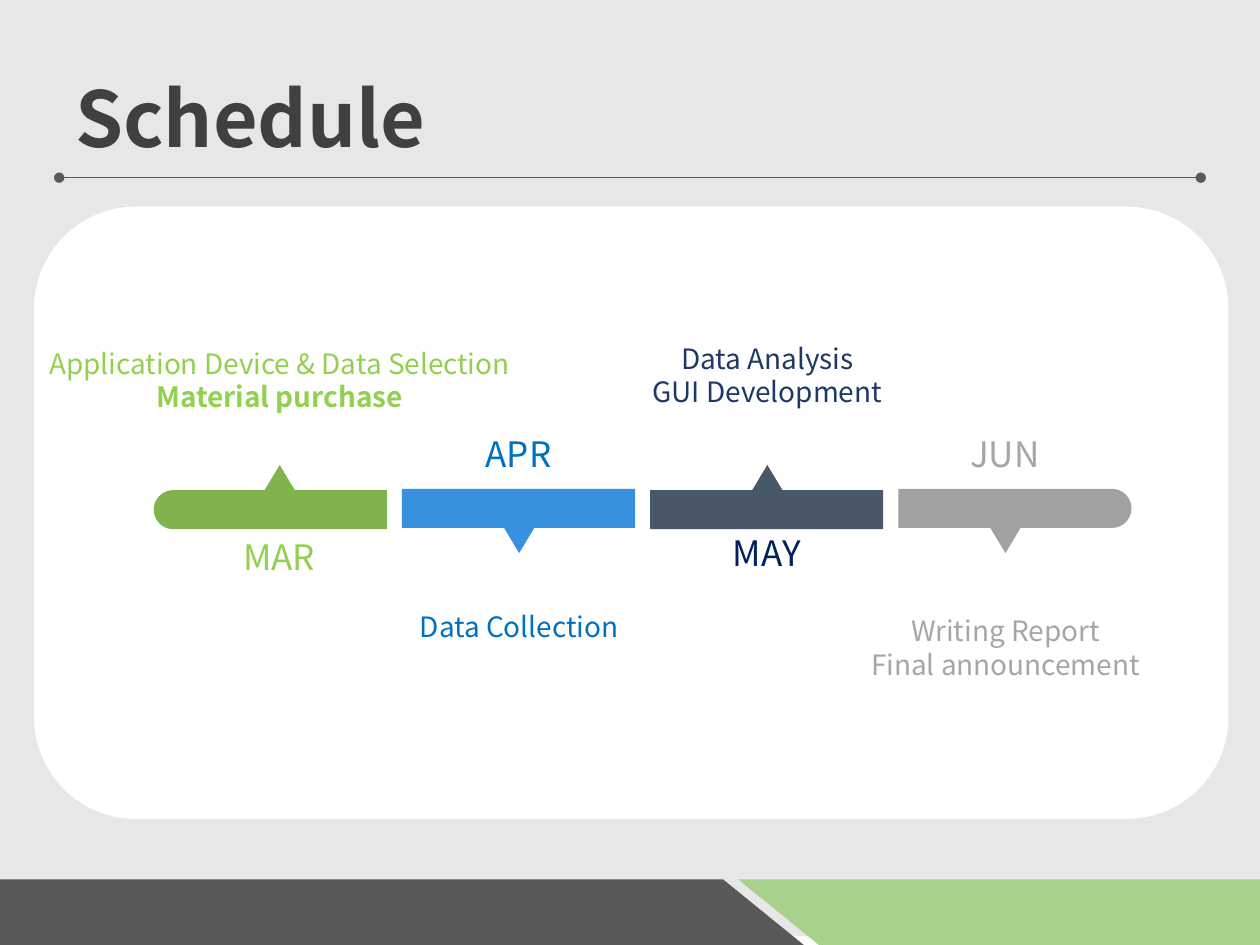
import dataclasses
import math

import lxml.etree
import pptx
import pptx.dml.color
import pptx.enum.shapes
import pptx.enum.text
import pptx.oxml.ns
import pptx.util

Inches = pptx.util.Inches
Shape = pptx.enum.shapes.MSO_SHAPE
Align = pptx.enum.text.PP_ALIGN
Anchor = pptx.enum.text.MSO_ANCHOR
qn = pptx.oxml.ns.qn

WIDE, HIGH = 10, 7.5
FONT = "Noto Sans CJK KR"
COLORS = {
    "veil": "D9D9D9", "panel": "FFFFFF", "dark": "595959", "title": "404040",
    "leaf": "A9D18E", "lime": "92D050", "green": "7FB44C", "sky": "3791DF",
    "blue": "0070C0", "slate": "485868", "navy": "002060", "ink": "203864",
    "gray": "A1A1A1", "ash": "A6A6A6",
}

# Timeline grid: bar start, step between bars, bar size and pointer size
START, STEP = 1.22, 1.97
BAR_W, BAR_H = 1.85, 0.31
TIP_H, TIP_W = 0.2, 0.12


@dataclasses.dataclass
class Month:
    """One stage of the timeline."""
    name: str
    lines: list[str]
    fill: str
    name_color: str
    note_color: str
    top: float
    name_top: float
    note_top: float
    up: bool
    round: bool = False
    strong: int = -1
    note_w: float = 3.24


MONTHS = [
    Month("MAR", ["Application Device & Data Selection", "Material purchase"],
          "green", "lime", "lime", 3.89, 4.2, 2.7, True, True, 1, 3.93),
    Month("APR", ["Data Collection"],
          "sky", "blue", "blue", 3.88, 3.38, 4.79, False),
    Month("MAY", ["Data Analysis", "GUI Development"],
          "slate", "navy", "ink", 3.89, 4.17, 2.66, True),
    Month("JUN", ["Writing Report", "Final announcement"],
          "gray", "ash", "ash", 3.88, 3.38, 4.82, False, True),
]


def rgb(name: str) -> pptx.dml.color.RGBColor:
    """Look up a colour by name."""
    return pptx.dml.color.RGBColor.from_string(COLORS[name])


def paint(shape, color: str):
    """Give a shape a flat fill without line or shadow."""
    shape.shadow.inherit = False
    shape.fill.solid()
    shape.fill.fore_color.rgb = rgb(color)
    shape.line.fill.background()
    return shape


def block(slide, kind, box: tuple, color: str):
    """Add a filled preset shape."""
    return paint(slide.shapes.add_shape(kind, *map(Inches, box)), color)


def outline(slide, points: list[tuple], color: str):
    """Add a filled closed outline through the points."""
    spots = [(Inches(x), Inches(y)) for x, y in points]
    pen = slide.shapes.build_freeform(*spots[0])
    pen.add_line_segments(spots[1:], close=True)
    return paint(pen.convert_to_shape(), color)


def write(slide, box: tuple, lines: list[str], size: float, color: str,
          strong: int = -1, align=Align.CENTER, anchor=Anchor.TOP):
    """Add a text box; the line numbered strong is bold."""
    frame = slide.shapes.add_textbox(*map(Inches, box)).text_frame
    frame.word_wrap = True
    frame.vertical_anchor = anchor
    for i, line in enumerate(lines):
        para = frame.paragraphs[0] if i == 0 else frame.add_paragraph()
        para.alignment = align
        run = para.add_run()
        run.text = line
        look = {"name": FONT, "size": pptx.util.Pt(size), "bold": i == strong}
        for key, value in look.items():
            setattr(run.font, key, value)
        run.font.color.rgb = rgb(color)
        # East Asian face follows the Latin one
        face = lxml.etree.SubElement(run.font._element, qn("a:ea"))
        face.set("typeface", FONT)


def rule(slide, x1: float, x2: float, y: float):
    """Add the line under the title with a dot at each end."""
    line = slide.shapes.add_connector(
        pptx.enum.shapes.MSO_CONNECTOR.STRAIGHT,
        *map(Inches, (x1, y, x2, y)))
    line.line.width = pptx.util.Pt(0.5)
    line.line.color.rgb = rgb("dark")
    stroke = line.line._get_or_add_ln()
    for end in ("a:headEnd", "a:tailEnd"):
        lxml.etree.SubElement(stroke, qn(end)).set("type", "oval")
    lxml.etree.SubElement(line._element.spPr, qn("a:effectLst"))


def stage(slide, month: Month, left: float):
    """Draw a bar with its pointer, month name and note."""
    tip = 1.0 if month.round else 0.93
    points = [(tip, -TIP_H), (tip + TIP_W, 0), (BAR_W, 0), (BAR_W, BAR_H)]
    if month.round:
        rad = BAR_H / 2
        for deg in range(90, 271, 10):
            turn = math.radians(deg)
            points.append((rad + rad * math.cos(turn),
                           rad + rad * math.sin(turn)))
    else:
        points += [(0, BAR_H), (0, 0)]
    points.append((tip - TIP_W, 0))
    if not month.up:
        points = [(x, BAR_H - y) for x, y in points]
        if month.round:
            points = [(BAR_W - x, y) for x, y in points]
    outline(slide, [(left + x, month.top + y) for x, y in points], month.fill)

    mid = left + points[0][0]
    write(slide, (mid - 0.81, month.name_top, 1.61, 0.44),
          [month.name], 20, month.name_color)
    write(slide, (mid - month.note_w / 2, month.note_top, month.note_w,
                  0.1 + 0.27 * len(month.lines)),
          month.lines, 16, month.note_color, month.strong)


def main():
    """Build and save the slide."""
    deck = pptx.Presentation()
    deck.slide_width, deck.slide_height = Inches(WIDE), Inches(HIGH)
    slide = deck.slides.add_slide(deck.slide_layouts[6])

    veil = block(slide, Shape.RECTANGLE, (0, -0.07, WIDE, HIGH), "veil")
    tone = veil._element.spPr.find(".//" + qn("a:srgbClr"))
    lxml.etree.SubElement(tone, qn("a:alpha")).set("val", "61000")

    foot = 6.98
    outline(slide, [(-0.08, foot), (5.74, foot), (6.38, HIGH), (-0.08, HIGH)],
            "dark")
    outline(slide, [(12.32, HIGH), (6.5, HIGH), (5.86, foot), (12.32, foot)],
            "leaf")
    write(slide, (0.5, 0.3, 9, 1.25), ["Schedule"], 44, "title", 0,
          Align.LEFT, Anchor.MIDDLE)
    rule(slide, 0.47, 9.53, 1.41)
    block(slide, Shape.ROUNDED_RECTANGLE, (0.27, 1.64, 9.48, 4.86), "panel")

    for i, month in enumerate(MONTHS):
        stage(slide, month, START + i * STEP)
    deck.save("out.pptx")


main()
